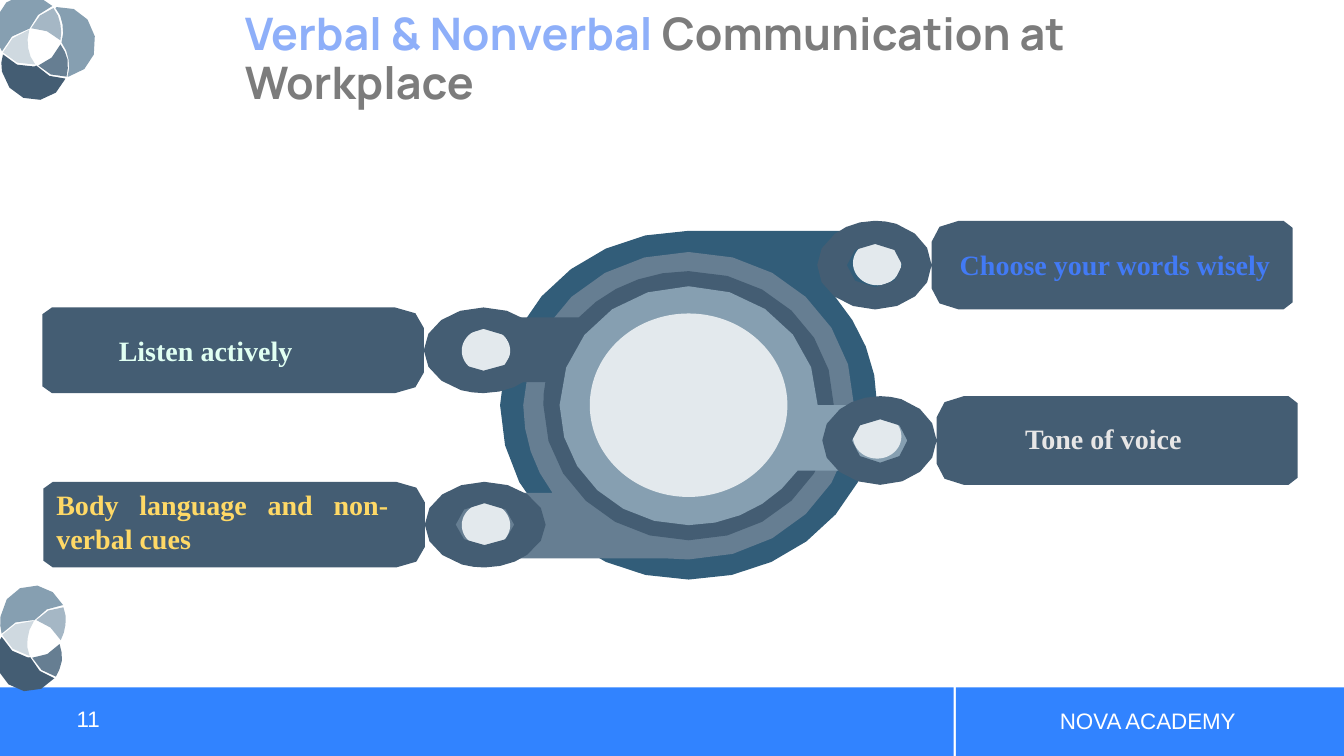
"""Build the slide on verbal and nonverbal communication at the workplace."""
from math import cos, dist, radians, sin, sqrt

from pptx import Presentation
from pptx.dml.color import RGBColor as Rgb
from pptx.enum.shapes import MSO_SHAPE as Preset
from pptx.enum.text import MSO_ANCHOR as Anchor, MSO_AUTO_SIZE as Fit, PP_ALIGN as Align
from pptx.util import Pt

PX = 9144
THEME = {
    "bar": "3183FF", "white": "FFFFFF", "title": "8EAFF9", "gray": "7C7C7C",
    "teal": "325D79", "slate": "667E92", "navy": "445D73", "steel": "869FB1",
    "mist": "A5B7C5", "haze": "CFD9E0", "pale": "E3E9ED",
    "blue": "427AF5", "silver": "E7E6E6", "gold": "FFD966", "mint": "E0FFF2",
    "head": {"name": "Manrope", "size": Pt(32), "bold": True},
    "label": {"name": "Times New Roman", "size": Pt(20), "bold": True},
    "foot": {"name": "Arial", "size": Pt(16), "bold": False},
}
SAME = (1, 0, 0, 1, 0, 0)

deck = Presentation()
deck.slide_width, deck.slide_height = 1333 * PX, 750 * PX
slide = deck.slides.add_slide(deck.slide_layouts[6])
shapes = slide.shapes


def draw(form, fill, move=SAME):
    """Draw an oval or bar from (preset, box), or an outline from loops of lines and cubic curves."""
    if isinstance(form, tuple):
        shape = shapes.add_shape(form[0], *(n * PX for n in form[1:]))
    else:
        a, b, c, d, e, f = move
        pen = None
        for loop in form:
            dots = [loop[0]]
            for step in loop[1:]:
                if len(step) == 2:
                    dots.append(step)
                    continue
                ends = [dots[-1], step[:2], step[2:4], step[4:]]
                count = max(1, round(sqrt(dist(ends[0], ends[3])) / 2.4))
                for t in (n / count for n in range(1, count + 1)):
                    mix = ((1 - t) ** 3, 3 * t * (1 - t) ** 2, 3 * t * t * (1 - t), t ** 3)
                    dots.append(tuple(sum(m * p[k] for m, p in zip(mix, ends)) for k in (0, 1)))
            dots = [(round((a * x + c * y + e) * PX), round((b * x + d * y + f) * PX))
                    for x, y in dots]
            if pen is None:
                pen = shapes.build_freeform(*dots[0], scale=1.0)
            else:
                pen.move_to(*dots[0])
            pen.add_line_segments(dots[1:], close=True)
        shape = pen.convert_to_shape()
    shape.shadow.inherit = False
    shape.fill.solid()
    shape.fill.fore_color.rgb = Rgb.from_string(THEME[fill])
    shape.line.fill.background()


def write(box, parts, style, frame, para):
    """Write a text box from (text, colour) parts, with a line break for a bare newline."""
    area = shapes.add_textbox(*(n * PX for n in box)).text_frame
    line = area.paragraphs[0]
    for item, values in ((area, frame), (line, para)):
        for key, value in values.items():
            setattr(item, key, value)
    for text, color in parts:
        if text == "\n":
            line.add_line_break()
            continue
        run = line.add_run()
        run.text = text
        for key, value in THEME[style].items():
            setattr(run.font, key, value)
        run.font.color.rgb = Rgb.from_string(THEME[color])


for left, width in ((0, 946), (948, 385)):
    draw((Preset.RECTANGLE, left, 682, width, 68), "bar")

mid = {"vertical_anchor": Anchor.MIDDLE, "word_wrap": True}
bare = mid | {f"margin_{side}": 0 for side in ("left", "top", "right", "bottom")}
write((243, 10, 839, 100),
      [("Verbal & Nonverbal ", "title"), ("Communication at", "gray"), ("\n", "gray"),
       ("Workplace", "gray")],
      "head", bare, {"line_spacing": 0.9, "space_after": Pt(6)})
write((961, 695, 355, 40), [("NOVA ACADEMY", "white")], "foot", mid, {"alignment": Align.CENTER})
write((76, 695, 765, 40), [("11", "white")], "foot", bare, {"line_spacing": 0.9})

plates = [
    ("teal", (846, 239), [
        (683, 229), (580, 229, 496, 307, 496, 402), (496, 498, 580, 575, 683, 575),
        (786, 575, 870, 498, 870, 402), (870, 361, 854, 324, 828, 294), (870, 294),
        (889, 294, 904, 279, 904, 262), (904, 244, 889, 229, 870, 229)]),
    ("slate", (458, 499), [
        (683, 250), (592, 250, 519, 318, 519, 402), (519, 433, 529, 464, 548, 489), (482, 489),
        (463, 489, 447, 503, 447, 521), (447, 539, 463, 554, 482, 554), (661, 554),
        (683, 555), (774, 555, 847, 486, 847, 402), (847, 318, 774, 250, 683, 250)]),
    ("navy", (458, 326), [
        (683, 269), (639, 269, 600, 287, 574, 315), (482, 315),
        (463, 315, 447, 329, 447, 347), (447, 365, 463, 379, 482, 379), (541, 379),
        (539, 387, 539, 395, 539, 402), (539, 476, 603, 536, 683, 536),
        (763, 536, 827, 476, 827, 402), (827, 329, 763, 269, 683, 269)]),
    ("steel", (846, 411), [
        (683, 284), (612, 284, 555, 337, 555, 402), (555, 468, 612, 521, 683, 521),
        (728, 521, 768, 499, 791, 467), (870, 467), (889, 467, 904, 452, 904, 434),
        (904, 416, 889, 402, 870, 402), (811, 402), (811, 336, 754, 284, 683, 284)]),
]
for fill, spot, edge in plates:
    draw([edge], fill)
    draw((Preset.OVAL, *spot, 48, 44), "pale")
draw((Preset.OVAL, 585, 311, 196, 182), "pale")

hole = [(62, 23), (77, 23, 89, 32, 89, 44), (89, 56, 77, 66, 62, 66),
        (46, 66, 34, 56, 34, 44), (34, 32, 46, 23, 62, 23)]
rim = [(62, 0), (47, 0, 32, 5, 22, 13), (5, 26, 0, 44, 9, 61), (18, 77, 39, 88, 62, 88),
       (93, 88, 118, 68, 118, 44), (118, 67), (118, 79, 130, 88, 145, 88), (467, 88),
       (472, 88, 476, 85, 476, 81), (476, 7), (476, 3, 472, 0, 467, 0), (145, 0),
       (130, 0, 118, 9, 118, 21), (118, 44), (118, 26, 104, 10, 83, 3), (76, 1, 69, 0, 62, 0)]
right, turned = (1, 0, 0, 1), (-503 / 476, 0, 0, -85 / 88)
tabs = [
    (right, (806, 219), "Choose your words wisely", "blue", (942, 241, 331, 44), False),
    (turned, (546, 563), "Body language and non-verbal cues", "gold", (46, 479, 349, 77), True),
    (right, (811, 393), "Tone of voice", "silver", (1007, 413, 176, 44), False),
    (turned, (545, 390), "Listen actively", "mint", (108, 326, 194, 44), False),
]
for turn, spot, text, color, box, wrap in tabs:
    draw([hole, rim], "navy", turn + spot)
    write(box, [(text, color)], "label",
          {"word_wrap": wrap, "auto_size": Fit.SHAPE_TO_FIT_TEXT}, {"alignment": Align.JUSTIFY})

petals = [
    ("navy", [(65, 78), (54, 79, 43, 74, 36, 65), (34, 66), (22, 68, 11, 63, 3, 54),
              (1, 59, 1, 65, 2, 71), (5, 89, 23, 102, 40, 99), (52, 97, 61, 89, 65, 78)]),
    ("slate", [(67, 59), (66, 54, 63, 48, 60, 44), (56, 54, 48, 62, 38, 65),
               (45, 73, 55, 77, 66, 76), (67, 71, 68, 65, 67, 59)]),
    ("steel", [(52, 6), (45, -2, 33, -7, 22, -5), (4, -2, -8, 16, -4, 35),
               (-3, 41, -1, 46, 2, 51), (6, 39, 16, 31, 28, 29), (29, 29),
               (33, 18, 41, 10, 52, 6)]),
    ("mist", [(60, 24), (59, 18, 57, 13, 53, 8), (43, 11, 35, 18, 31, 28),
              (42, 28, 52, 32, 60, 40), (61, 35, 61, 29, 60, 24)]),
    ("haze", [(29, 30), (28, 30), (16, 33, 7, 41, 3, 52), (11, 61, 22, 66, 34, 64), (35, 64),
              (31, 59, 29, 54, 28, 48), (27, 42, 27, 36, 29, 30)]),
]
wing = [(94, 36), (91, 17, 74, 4, 56, 7), (55, 8), (59, 12, 61, 18, 62, 24),
        (63, 30, 63, 36, 61, 42), (65, 47, 67, 53, 68, 59), (69, 65, 69, 70, 67, 76), (68, 76),
        (86, 73, 98, 55, 94, 36)]
c, s = cos(radians(17)), sin(radians(17))
swung = (c, s, -s, c, 30 - 36 * c + 65 * s, 652 - 36 * s - 65 * c)
draw([wing], "steel")
for move in (swung, SAME):
    for fill, edge in petals:
        draw([edge], fill, move)

deck.save("out.pptx")
